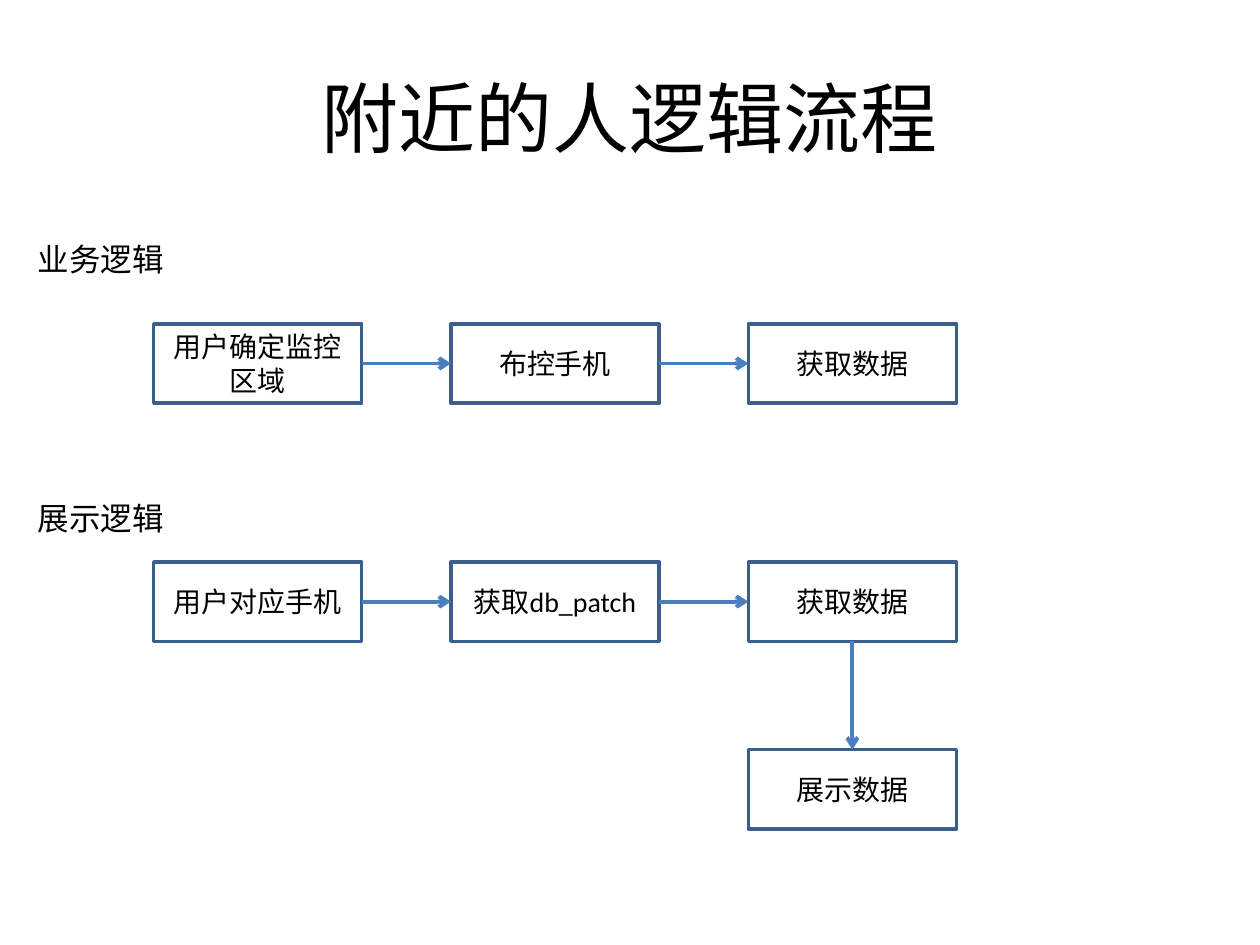
from lxml import etree
from pptx import Presentation
from pptx.dml.color import RGBColor
from pptx.enum.shapes import MSO_CONNECTOR, MSO_SHAPE
from pptx.enum.text import MSO_ANCHOR, MSO_AUTO_SIZE, PP_ALIGN
from pptx.oxml.ns import qn
from pptx.util import Inches, Pt

PROCESS = MSO_SHAPE.FLOWCHART_PROCESS
STRAIGHT = MSO_CONNECTOR.STRAIGHT
MIDDLE = MSO_ANCHOR.MIDDLE
CENTER, LEFT = PP_ALIGN.CENTER, PP_ALIGN.LEFT
TOP_SITE, LEFT_SITE, BOTTOM_SITE, RIGHT_SITE = range(4)

TITLE = "附近的人逻辑流程"
HEADINGS = [("业务逻辑", 1.86), ("展示逻辑", 3.91)]
FLOWS = [
    (2.57, ["用户确定监控区域", "布控手机", "获取数据"]),
    (4.46, ["用户对应手机", "获取db_patch", "获取数据"]),
]
RESULT, RESULT_TOP = "展示数据", 5.95

FIRST_LEFT, STEP = 1.22, 2.36
BOX_WIDTH, BOX_HEIGHT = 1.65, 0.63
CJK_FONT, BOX_FONT = "Noto Sans CJK SC", "Calibri"
BLACK, WHITE, BORDER, ARROW = "000000", "FFFFFF", "3A5F8C", "4B7EBC"


def color(value):
    return RGBColor.from_string(value)


def write(shape, text, size, font, align):
    shape.text_frame.text = text
    para = shape.text_frame.paragraphs[0]
    para.alignment = align
    para.font.size = Pt(size)
    para.font.name = font
    para.font.color.rgb = color(BLACK)


def add_box(text, column, top):
    box = page.shapes.add_shape(
        PROCESS, Inches(FIRST_LEFT + column * STEP), Inches(top),
        Inches(BOX_WIDTH), Inches(BOX_HEIGHT))
    box.shadow.inherit = False
    box.fill.solid()
    box.fill.fore_color.rgb = color(WHITE)
    box.line.color.rgb = color(BORDER)
    box.line.width = Pt(2)
    box.text_frame.word_wrap = True
    box.text_frame.vertical_anchor = MIDDLE
    write(box, text, 16, BOX_FONT, CENTER)
    return box


def add_arrow(start, start_site, end, end_site):
    arrow = page.shapes.add_connector(STRAIGHT, 0, 0, 0, 0)
    arrow.begin_connect(start, start_site)
    arrow.end_connect(end, end_site)
    arrow.line.color.rgb = color(ARROW)
    arrow.line.width = Pt(2.25)
    etree.SubElement(arrow.line._get_or_add_ln(), qn("a:tailEnd"), type="arrow")
    etree.SubElement(arrow._element.spPr, qn("a:effectLst"))


deck = Presentation()
deck.slide_width, deck.slide_height = Inches(10), Inches(7.5)
page = deck.slides.add_slide(deck.slide_layouts[5])

title = page.shapes.title
title.left, title.top = Inches(0.5), Inches(0.3)
title.width, title.height = Inches(9), Inches(1.25)
title.text_frame.vertical_anchor = MIDDLE
write(title, TITLE, 44, CJK_FONT, CENTER)

for text, top in HEADINGS:
    heading = page.shapes.add_textbox(
        Inches(0.2), Inches(top), Inches(1.57), Inches(0.4))
    heading.text_frame.word_wrap = True
    heading.text_frame.auto_size = MSO_AUTO_SIZE.SHAPE_TO_FIT_TEXT
    write(heading, text, 18, CJK_FONT, LEFT)

for top, steps in FLOWS:
    boxes = [add_box(text, column, top) for column, text in enumerate(steps)]
    for start, end in zip(boxes, boxes[1:]):
        add_arrow(start, RIGHT_SITE, end, LEFT_SITE)

result = add_box(RESULT, len(boxes) - 1, RESULT_TOP)
add_arrow(boxes[-1], BOTTOM_SITE, result, TOP_SITE)

deck.save("out.pptx")
